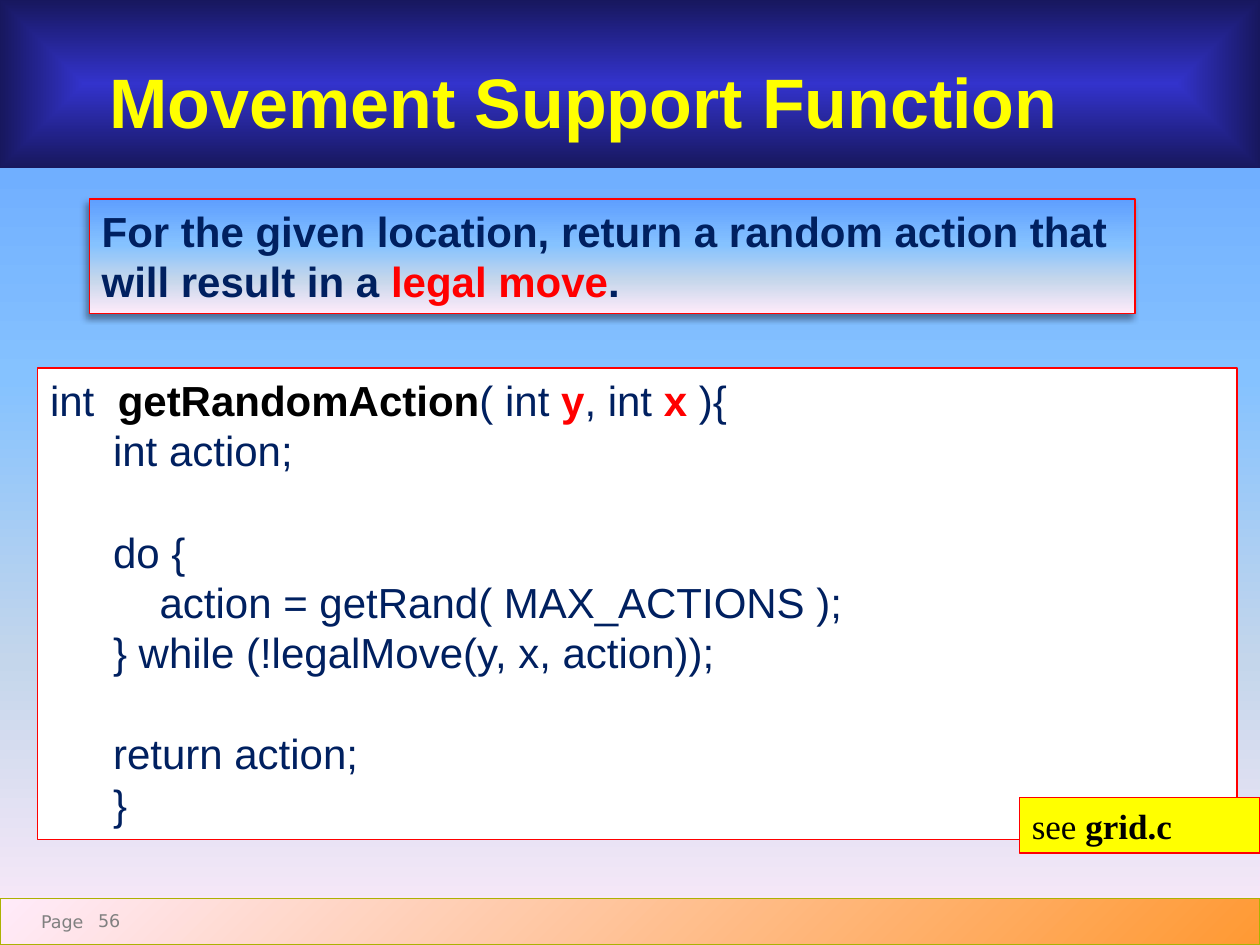
from dataclasses import dataclass, field

from lxml.etree import SubElement
from pptx import Presentation
from pptx.dml.color import RGBColor
from pptx.enum.shapes import MSO_SHAPE as Preset
from pptx.enum.text import MSO_ANCHOR as Anchor, PP_ALIGN as Align
from pptx.oxml.ns import qn
from pptx.util import Cm, Pt


@dataclass(frozen=True)
class Gradient:
    stops: tuple
    angle: int | None = None


@dataclass(frozen=True)
class Theme:
    navy: str = "002060"
    red: str = "FF0000"
    black: str = "000000"
    yellow: str = "FFFF00"
    white: str = "FFFFFF"
    grey: str = "808080"
    olive: str = "ABB202"
    sky: Gradient = Gradient(((0, "5E9EFF"), (40, "85C2FF"), (70, "C4D6EB"), (100, "FFEBFA")), 90)
    sunset: Gradient = Gradient(((0, "FFEBFA"), (100, "FF9933")), 45)
    glow: Gradient = Gradient(((0, "3333CC"), (100, "17175E")))
    sans: str = "Arial"
    serif: str = "Times New Roman"
    footer: str = "DejaVu Sans"
    title_size: int = 40
    body_size: int = 24
    tag_size: int = 20
    footer_size: int = 10
    line_width: float = 0.75


THEME = Theme()


@dataclass(frozen=True)
class Span:
    text: str
    color: str = THEME.navy
    bold: bool = False


@dataclass(frozen=True)
class Para:
    spans: tuple
    format: dict = field(default_factory=dict)
    indent: float = 0


@dataclass(frozen=True)
class Panel:
    place: tuple
    paras: tuple = ()
    fill: Gradient | str | None = None
    line: str | None = None
    font: str = THEME.sans
    size: int = THEME.body_size
    insets: tuple = (0.25, 0.13, 0.25, 0.13)
    shadow: bool = False


def apply_format(target, values: dict) -> None:
    for name, value in values.items():
        setattr(target, name, value)


def paint_gradient(fill, holder, gradient: Gradient) -> None:
    fill.gradient()
    element = holder.find(".//" + qn("a:gradFill"))
    for child in list(element):
        element.remove(child)
    stops = SubElement(element, qn("a:gsLst"))
    for position, color in gradient.stops:
        stop = SubElement(stops, qn("a:gs"), pos=str(position * 1000))
        SubElement(stop, qn("a:srgbClr"), val=color)
    if gradient.angle is None:
        shade = SubElement(element, qn("a:path"), path="shape")
        SubElement(shade, qn("a:fillToRect"), dict.fromkeys("ltrb", "50000"))
    else:
        SubElement(element, qn("a:lin"), ang=str(gradient.angle * 60000), scaled="0")


def add_shadow(shape) -> None:
    effects = shape.element.find(".//" + qn("a:effectLst"))
    shadow = SubElement(effects, qn("a:outerShdw"), blurRad=str(Pt(4)), dist=str(Pt(3)),
                        dir=str(135 * 60000), algn="tr", rotWithShape="0")
    color = SubElement(shadow, qn("a:srgbClr"), val=THEME.black)
    SubElement(color, qn("a:alpha"), val="40000")


def write_para(para, content: Para, panel: Panel) -> None:
    apply_format(para, {"alignment": Align.LEFT} | content.format)
    if content.indent:
        para._p.get_or_add_pPr().set("marL", str(Cm(content.indent)))
    for span in content.spans:
        run = para.add_run()
        run.text = span.text
        apply_format(run.font, {"name": panel.font, "size": Pt(panel.size), "bold": span.bold})
        run.font.color.rgb = RGBColor.from_string(span.color)


def draw_panel(page, panel: Panel) -> None:
    place = [Cm(length) for length in panel.place]
    if panel.fill is None:
        box = page.shapes.add_textbox(*place)
    else:
        box = page.shapes.add_shape(Preset.RECTANGLE, *place)
        box.shadow.inherit = False
        if isinstance(panel.fill, Gradient):
            paint_gradient(box.fill, box.element, panel.fill)
        else:
            box.fill.solid()
            box.fill.fore_color.rgb = RGBColor.from_string(panel.fill)
        if panel.line:
            box.line.color.rgb = RGBColor.from_string(panel.line)
            box.line.width = Pt(THEME.line_width)
        else:
            box.line.fill.background()
    if panel.shadow:
        add_shadow(box)
    frame = box.text_frame
    sides = ("margin_left", "margin_top", "margin_right", "margin_bottom")
    margins = {side: Cm(inset) for side, inset in zip(sides, panel.insets)}
    apply_format(frame, {"word_wrap": True, "vertical_anchor": Anchor.TOP} | margins)
    for index, content in enumerate(panel.paras):
        para = frame.add_paragraph() if index else frame.paragraphs[0]
        write_para(para, content, panel)


def code_line(text: str, gap: bool = False) -> Para:
    return Para((Span(text),), {"space_before": Pt(29 if gap else 0)}, indent=1.27)


def footer_text(place: tuple, text: str, alignment: Align) -> Panel:
    return Panel(place, (Para((Span(text, THEME.grey),), {"alignment": alignment}),),
                 font=THEME.footer, size=THEME.footer_size, insets=(0, 0, 0, 0))


SIGNATURE = Para((
    Span("int  "), Span("getRandomAction", THEME.black, True), Span("( int "),
    Span("y", THEME.red, True), Span(", int "), Span("x", THEME.red, True), Span(" ){"),
))
CODE = (
    SIGNATURE,
    code_line("int action;"),
    code_line("do {", gap=True),
    code_line("    action = getRand( MAX_ACTIONS );"),
    code_line("} while (!legalMove(y, x, action));"),
    code_line("return action;", gap=True),
    code_line("}"),
)
SUMMARY = Para((
    Span("For the given location, return a random action that will result in a ", bold=True),
    Span("legal move", THEME.red, True), Span(".", bold=True),
))
PANELS = (
    Panel((0, 18.11, 25.4, 0.94), fill=THEME.sunset, line=THEME.olive),
    footer_text((0.69, 18.36, 0.99, 0.43), "Page", Align.RIGHT),
    Panel((0, 0, 25.4, 3.38), (Para((Span("Movement Support Function", THEME.yellow, True),)),),
          fill=THEME.glow, size=THEME.title_size, insets=(2.21, 1.19, 0, 0)),
    footer_text((1.98, 18.34, 0.84, 0.58), "56", Align.LEFT),
    Panel((1.8, 4.01, 21.08, 2.31), (SUMMARY,), fill=THEME.sky, line=THEME.red, shadow=True),
    Panel((0.76, 7.42, 24.18, 9.5), CODE, fill=THEME.white, line=THEME.red),
    Panel((20.55, 16.08, 4.85, 1.12),
          (Para((Span("see ", THEME.black), Span("grid.c", THEME.black, True))),),
          fill=THEME.yellow, line=THEME.red, font=THEME.serif, size=THEME.tag_size),
)


def main() -> None:
    """Build the movement support function slide."""
    deck = Presentation()
    apply_format(deck, {"slide_width": Cm(25.4), "slide_height": Cm(19.05)})
    page = deck.slides.add_slide(deck.slide_layouts[6])
    paint_gradient(page.background.fill, page.element, THEME.sky)
    for panel in PANELS:
        draw_panel(page, panel)
    deck.save("out.pptx")


if __name__ == "__main__":
    main()
